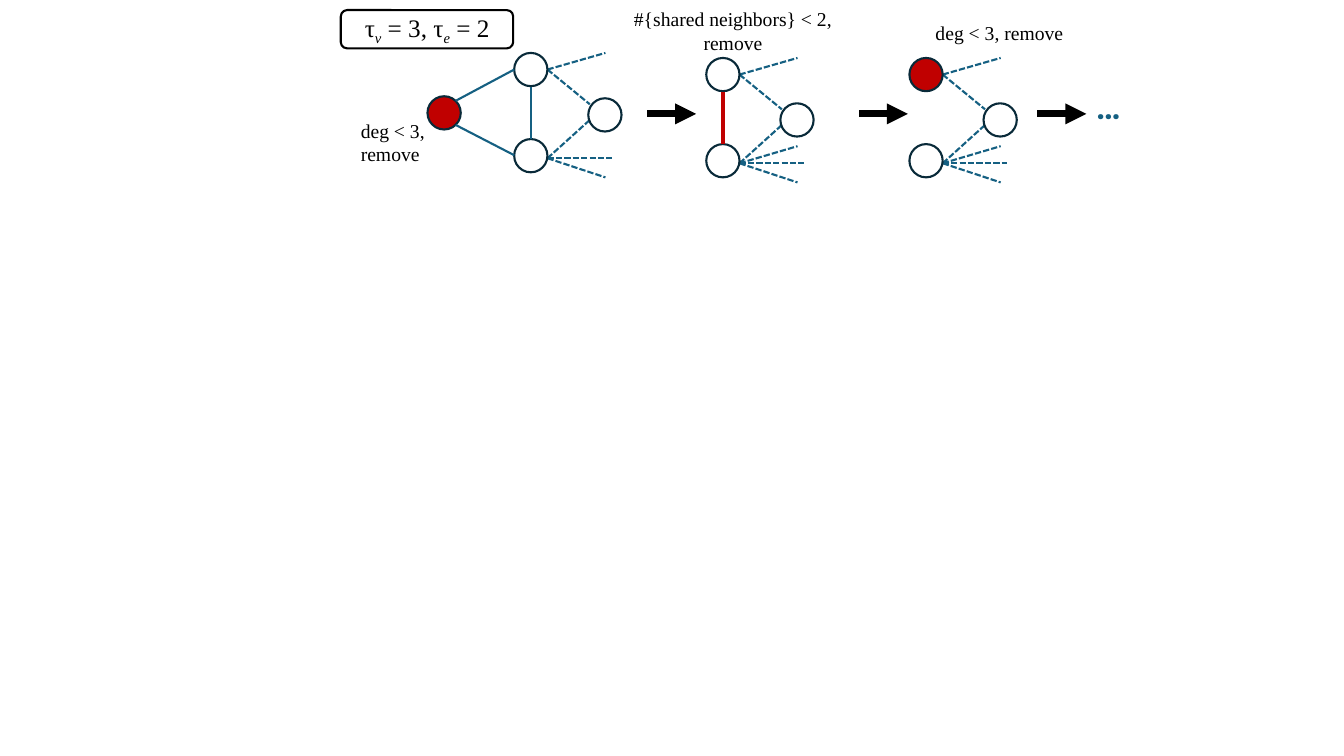
from lxml.etree import SubElement
from pptx import Presentation
from pptx.dml.color import RGBColor
from pptx.enum.dml import MSO_LINE_DASH_STYLE as Dash
from pptx.enum.shapes import MSO_CONNECTOR as Connector, MSO_SHAPE as Shape
from pptx.enum.text import MSO_AUTO_SIZE as AutoSize, PP_ALIGN as Align
from pptx.oxml.ns import qn
from pptx.util import Inches, Pt

RED = RGBColor(0xC0, 0x00, 0x00)
NAVY = RGBColor(0x09, 0x2A, 0x39)
TEAL = RGBColor(0x15, 0x60, 0x82)
BLACK = RGBColor(0x00, 0x00, 0x00)

CELL = Inches(0.1)  # side of one grid cell: all lengths are columns and rows
NODE = 3.3          # node diameter
R = NODE / 2

# Node centres and edge ends, relative to the top node of a stage
TOP, BOTTOM, RIGHT = (0, 0), (0, 8.55), (7.35, 4.5)
TOP_PORT, BOTTOM_PORT = (R, 0), (R, 8.8)
OUTER_EDGES = [
    (TOP_PORT, (7.4, -1.65)),
    (TOP_PORT, (5.85, 3.45)),
    (BOTTOM_PORT, (5.85, 5)),
    (BOTTOM_PORT, (8, 8.8)),
    (BOTTOM_PORT, (7.4, 10.7)),
]
EXTRA_EDGE = (BOTTOM_PORT, (7.4, 7.1))


class GraphSlide:
    font = "Times New Roman"
    stroke = 1.5

    def __init__(self, prs):
        self.slide = prs.slides.add_slide(prs.slide_layouts[6])

    @staticmethod
    def grid(*lengths):
        return [round(length * CELL) for length in lengths]

    def outline(self, preset, box, color, fill=None):
        shape = self.slide.shapes.add_shape(preset, *self.grid(*box))
        shape.shadow.inherit = False
        if fill is None:
            shape.fill.background()
        else:
            shape.fill.solid()
            shape.fill.fore_color.rgb = fill
        shape.line.color.rgb = color
        shape.line.width = Pt(self.stroke)

    def node(self, center, fill=None):
        x, y = center
        self.outline(Shape.OVAL, (x - R, y - R, NODE, NODE), NAVY, fill)

    def edge(self, start, end, color=TEAL, width=stroke, dashed=False):
        link = self.slide.shapes.add_connector(
            Connector.STRAIGHT, *self.grid(*start, *end))
        SubElement(link._element.spPr, qn("a:effectLst"))
        link.line.color.rgb = color
        link.line.width = Pt(width)
        if dashed:
            link.line.dash_style = Dash.SQUARE_DOT
        return link

    def arrow(self, x, y, length=4.85):
        link = self.edge((x, y), (x + length, y), BLACK, 5)
        SubElement(link.line._get_or_add_ln(), qn("a:tailEnd"), type="triangle")

    def text(self, box, lines, size=14, align=Align.LEFT, color=BLACK,
             font=font, bold=None, spacing=None, fit=True):
        """Each line is a list of runs; a run starting with _ is a subscript."""
        frame = self.slide.shapes.add_textbox(*self.grid(*box)).text_frame
        frame.word_wrap = not fit
        frame.auto_size = AutoSize.SHAPE_TO_FIT_TEXT if fit else AutoSize.NONE
        for i, runs in enumerate(lines):
            para = frame.add_paragraph() if i else frame.paragraphs[0]
            para.alignment = align
            para.line_spacing = spacing
            para.font.name, para.font.size = font, Pt(size)
            para.font.bold, para.font.color.rgb = bold, color
            for words in runs:
                run = para.add_run()
                run.text = words.removeprefix("_")
                if words.startswith("_"):
                    run.font.italic = True
                    run._r.get_or_add_rPr().set("baseline", "-25000")

    def stage(self, x, y, top_fill=None, extra=True):
        """Three nodes with their dashed edges; x, y is the top node."""
        def place(point):
            return x + point[0], y + point[1]

        for start, end in OUTER_EDGES + [EXTRA_EDGE] * extra:
            self.edge(place(start), place(end), dashed=True)
        for point, fill in ((TOP, top_fill), (BOTTOM, None), (RIGHT, None)):
            self.node(place(point), fill)


def main():
    prs = Presentation()
    prs.slide_width, prs.slide_height = Inches(13.33), Inches(7.5)
    graph = GraphSlide(prs)

    # Thresholds
    graph.outline(Shape.ROUNDED_RECTANGLE, (33.8, 1, 17.1, 3.8), BLACK)
    graph.text((35.2, 0.7, 14.7, 4),
               [["τ", "_v", " = 3, τ", "_e", " = 2"]], size=18)

    # Stage 1: a node of low degree
    graph.stage(52.65, 6.9, extra=False)
    graph.node((44.05, 11.2), RED)
    graph.edge((45.2, 10), (51, 6.9))
    graph.edge((45.2, 12.4), (51, 15.4))
    graph.edge((52.7, 13.8), (52.7, 8.6))
    graph.text((34.8, 11.3, 8.4, 5.7), [["deg < 3,"], ["remove"]])

    # Stage 2: an edge with few shared neighbors
    graph.stage(71.7, 7.4)
    graph.edge((71.7, 14.3), (71.7, 9.1), RED, 3)
    graph.text((61.8, 0.2, 21.8, 5.7),
               [["#{shared neighbors} < 2,"], ["remove"]], align=Align.CENTER)

    # Stage 3: the next node of low degree
    graph.stage(91.85, 7.4, top_fill=RED)
    graph.text((91.8, 1.6, 14.8, 3.4), [["deg < 3, remove"]])

    # Steps between the stages
    for x in (64.2, 85.2, 102.9):
        graph.arrow(x, 11.3)
    graph.text((107.7, 8.5, 5.8, 6.1), [["…"]], size=24, color=TEAL,
               font="Roboto", bold=True, spacing=0.9, fit=False)

    prs.save("out.pptx")


if __name__ == "__main__":
    main()
